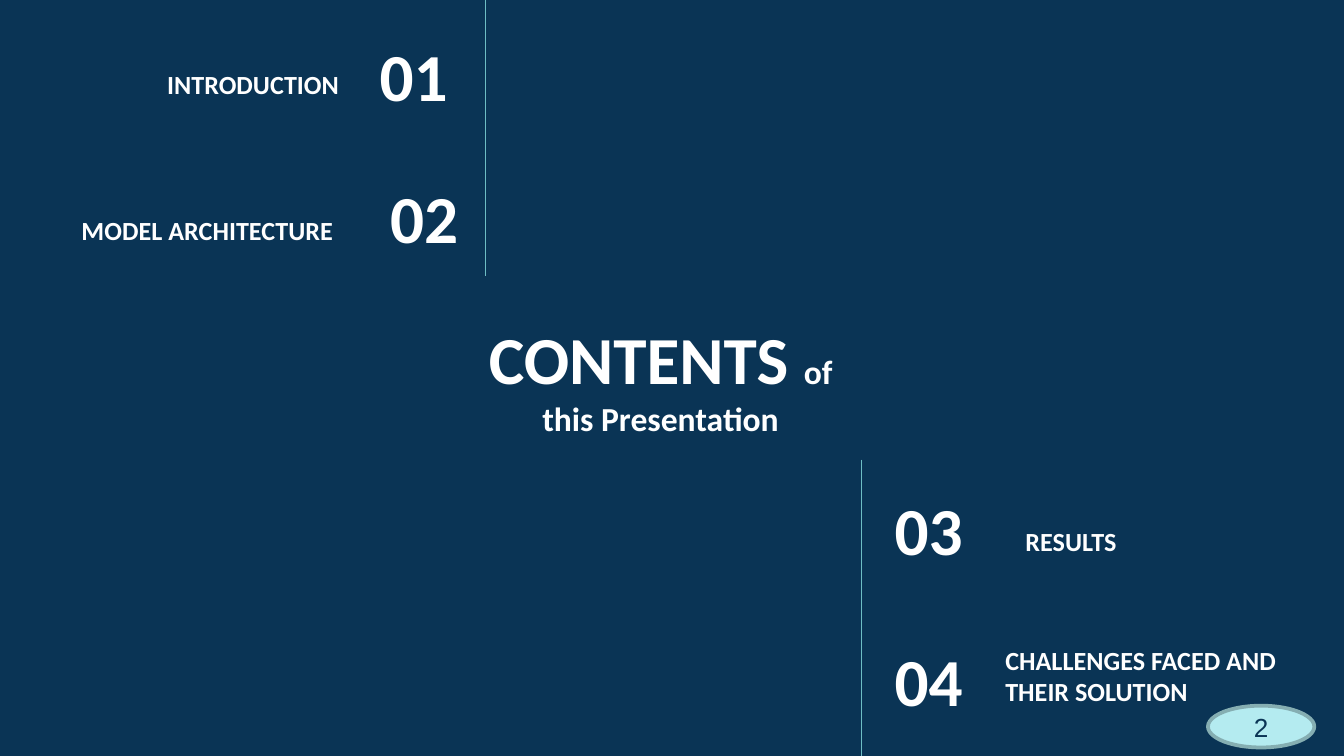
"""Build a contents slide with four numbered sections around a central title."""
from lxml import etree
from pptx import Presentation
from pptx import util as u
from pptx.dml.color import RGBColor
from pptx.enum import shapes, text

NAVY, WHITE, TEAL = "0A3455", "FFFFFF", "6EBDC4"
LEFT, CENTER, RIGHT = text.PP_ALIGN.LEFT, text.PP_ALIGN.CENTER, text.PP_ALIGN.RIGHT
MIDDLE, BOTTOM = text.MSO_ANCHOR.MIDDLE, text.MSO_ANCHOR.BOTTOM


def rgb(value):
    return RGBColor.from_string(value)


def write(sp, runs, align, anchor, color=WHITE, font="Calibri", bold=True, inset=0.25):
    tf = sp.text_frame
    tf.word_wrap = True
    tf.vertical_anchor = anchor
    tf.margin_left = tf.margin_right = tf.margin_top = tf.margin_bottom = u.Cm(inset)
    p = tf.paragraphs[0]
    p.alignment = align
    for words, size in runs:
        r = p.add_run()
        r.text = words
        r.font.name, r.font.size, r.font.bold = font, u.Pt(size), bold
        r.font.color.rgb = rgb(color)


prs = Presentation()
prs.slide_width, prs.slide_height = u.Cm(25.4), u.Cm(14.29)
s = prs.slides.add_slide(prs.slide_layouts[6])
s.background.fill.solid()
s.background.fill.fore_color.rgb = rgb(NAVY)

for x, top, bottom in [(9.17, 0, 5.21), (16.28, 8.69, 14.29)]:
    line = s.shapes.add_connector(
        shapes.MSO_CONNECTOR.STRAIGHT, u.Cm(x), u.Cm(top), u.Cm(x), u.Cm(bottom))
    line.line.color.rgb = rgb(TEAL)
    line.line.width = u.Pt(0.75)
    etree.SubElement(
        line._element.spPr,
        "{http://schemas.openxmlformats.org/drawingml/2006/main}effectLst")

title = s.shapes.add_textbox(u.Cm(8.69), u.Cm(5.84), u.Cm(7.59), u.Cm(2.62))
write(title, [("CONTENTS ", 36), ("of this Presentation", 18)], CENTER, MIDDLE)

sections = [
    ("01", (5.64, 0.61, 3.07, 1.6), "INTRODUCTION", (1.17, 0.53, 5.49, 1.6), RIGHT),
    ("02", (5.84, 3.3, 3.07, 1.6), "MODEL ARCHITECTURE ", (1.17, 3.3, 5.49, 1.6), RIGHT),
    ("03", (16.66, 9.19, 2.97, 1.6), "RESULTS", (19.13, 8.69, 5.49, 2.08), LEFT),
    ("04", (16.66, 12.04, 2.97, 1.6), "CHALLENGES FACED AND THEIR SOLUTION",
     (18.75, 12.01, 5.89, 1.6), LEFT),
]
for number, number_box, name, name_box, align in sections:
    for words, size, box, anchor in [(number, 36, number_box, MIDDLE),
                                     (name, 14, name_box, BOTTOM)]:
        sp = s.shapes.add_textbox(*map(u.Cm, box))
        write(sp, [(words, size)], align, anchor)

badge = s.shapes.add_shape(
    shapes.MSO_SHAPE.OVAL, u.Cm(22.83), u.Cm(13.34), u.Cm(2.01), u.Cm(0.79))
badge.shadow.inherit = False
badge.fill.solid()
badge.fill.fore_color.rgb = rgb("B4EBF0")
badge.line.color.rgb = rgb("85AEB2")
badge.line.width = u.Pt(2)
write(badge, [("2", 14)], CENTER, MIDDLE, NAVY, "Arial", False, 0)

prs.save("out.pptx")
